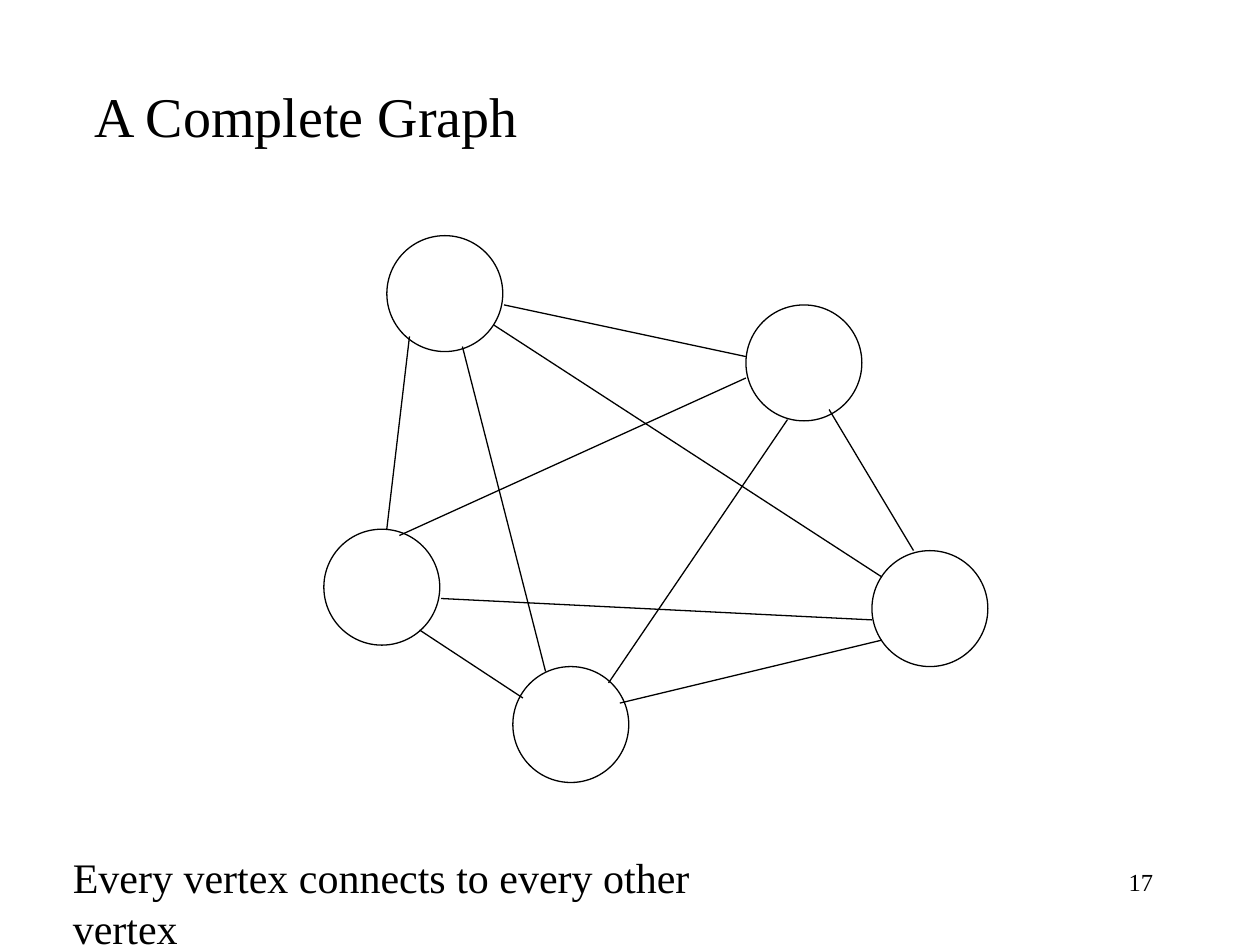
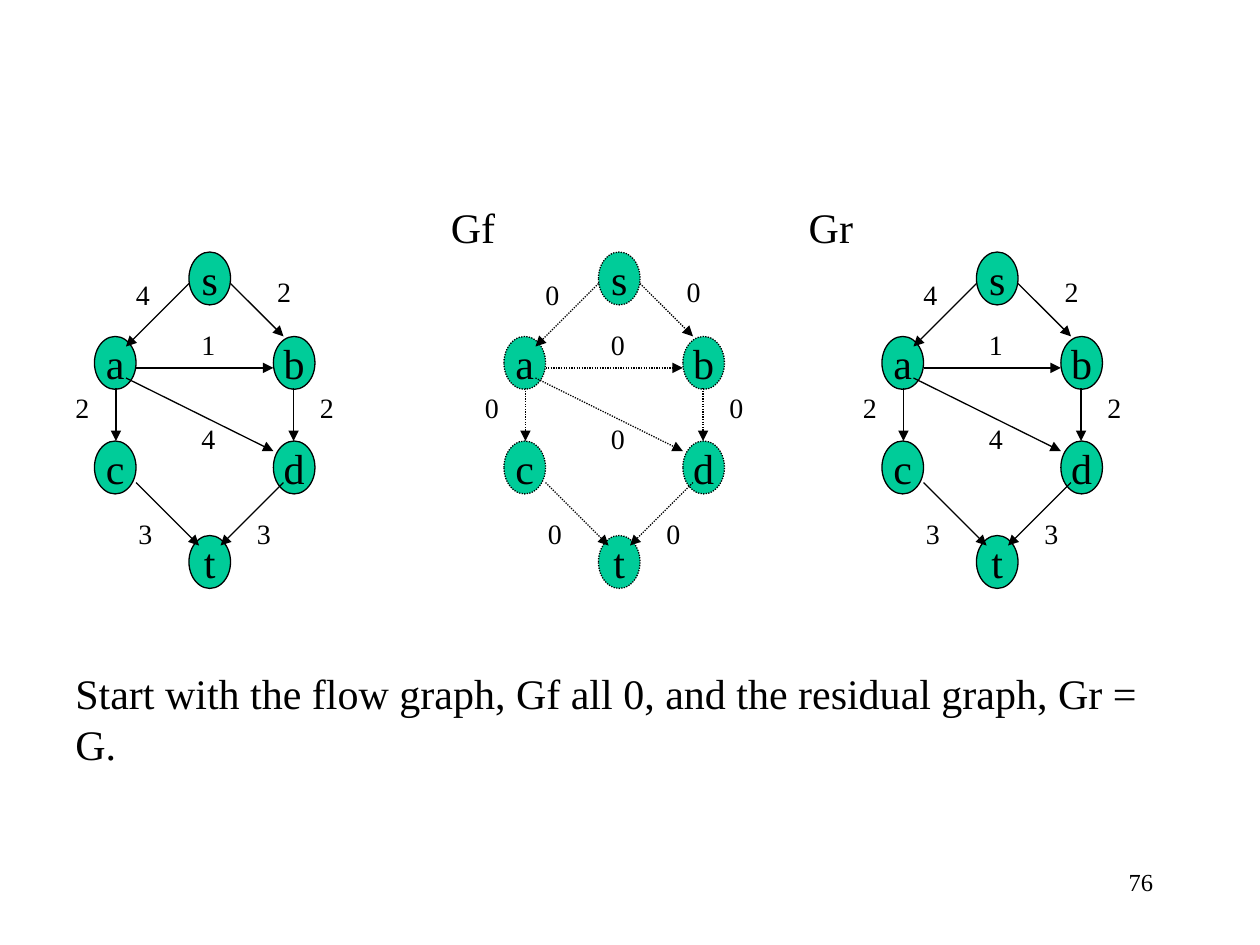
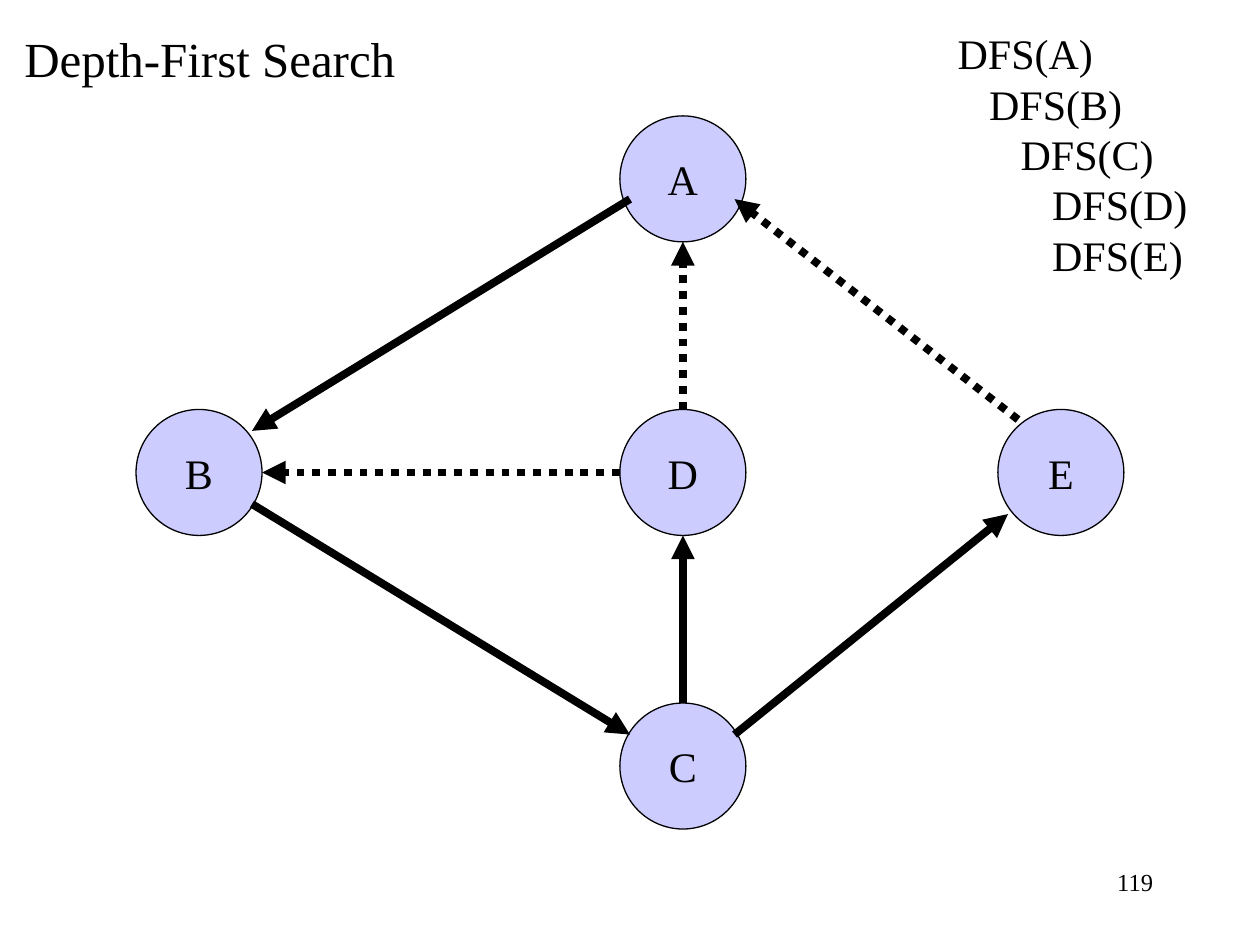
from dataclasses import dataclass

from lxml import etree
from pptx import Presentation
from pptx.dml import color
from pptx.enum import dml, shapes, text
from pptx.oxml import ns
from pptx.util import Inches, Pt


@dataclass(frozen=True)
class Theme:
    font: str = "Times New Roman"
    ink: color.RGBColor = color.RGBColor(0, 0, 0)
    paper: color.RGBColor = color.RGBColor(255, 255, 255)
    flow_node: color.RGBColor = color.RGBColor(0, 204, 153)
    search_node: color.RGBColor = color.RGBColor(204, 204, 255)
    title: int = 32
    small_title: int = 28
    body: int = 24
    weight: int = 16
    number: int = 14
    thin: float = 0.75
    thick: float = 4.5


THEME = Theme()
LEFT, CENTER, RIGHT = text.PP_ALIGN.LEFT, text.PP_ALIGN.CENTER, text.PP_ALIGN.RIGHT
DOTTED = dml.MSO_LINE.ROUND_DOT
TITLE_AND_CONTENT, TITLE_ONLY, BLANK = 1, 5, 6

COMPLETE_NODES = [(4.07, 5.29), (5.92, 2.42), (3.07, 1.87), (6.92, 4.37), (2.57, 4.2)]
COMPLETE_EDGES = [
    ((3.25, 2.67), (3.07, 4.2)),
    ((4.15, 5.54), (3.33, 5)),
    ((7.25, 4.37), (6.58, 3.25)),
    ((3.67, 2.75), (4.33, 5.33)),
    ((4.92, 5.58), (7, 5.08)),
    ((3.92, 2.58), (7, 4.58)),
    ((4, 2.42), (5.92, 2.83)),
    ((3.17, 4.25), (5.92, 3)),
    ((4.83, 5.42), (6.25, 3.33)),
    ((3.5, 4.75), (6.92, 4.92)),
]

FLOW_NODES = {
    "s": (0.75, 2), "a": (0, 2.67), "b": (1.42, 2.67),
    "t": (0.75, 4.25), "c": (0, 3.5), "d": (1.42, 3.5),
}
FLOW_EDGES = [
    ((0.17, 3.08), (0.17, 3.5)),
    ((0.33, 3.83), (0.83, 4.33)),
    ((1.5, 3.83), (1, 4.33)),
    ((0.75, 2.25), (0.25, 2.75)),
    ((1.08, 2.25), (1.5, 2.67)),
    ((1.58, 3.08), (1.58, 3.5)),
    ((0.33, 2.92), (1.42, 2.92)),
    ((0.25, 3), (1.42, 3.58)),
]
WEIGHT_SPOTS = [
    (0.23, 2.15), (-0.25, 3.05), (1.19, 4.05), (1.35, 2.13),
    (1.69, 3.05), (0.25, 4.05), (0.75, 2.55), (0.75, 3.3),
]
CAPACITIES = "42322314"
NO_FLOW = "0" * len(WEIGHT_SPOTS)

SEARCH_NODES = {
    "B": (1.08, 3.25), "D": (4.92, 3.25), "C": (4.92, 5.58),
    "E": (7.92, 3.25), "A": (4.92, 0.92),
}
SEARCH_EDGES = [
    ((2, 4), (5, 5.83), None),
    ((5.42, 3.25), (5.42, 1.92), DOTTED),
    ((5.42, 5.58), (5.42, 4.25), None),
    ((4.92, 3.75), (2.08, 3.75), DOTTED),
    ((5, 1.58), (2, 3.42), None),
    ((8.08, 3.33), (5.83, 1.58), DOTTED),
    ((5.83, 5.83), (8, 4.08), None),
]
SEARCH_CALLS = [("DFS(A)", 0), ("DFS(B)", 1), ("DFS(C)", 2), ("DFS(D)", 3), ("DFS(E)", 3)]


def apply(obj, **values):
    for name, value in values.items():
        setattr(obj, name, value)


def place(sp, left, top, width, height):
    apply(sp, left=Inches(left), top=Inches(top), width=Inches(width), height=Inches(height))


def write(p, words, size, align=LEFT):
    p.alignment = align
    r = p.add_run()
    r.text = words
    apply(r.font, name=THEME.font, size=Pt(size))
    r.font.color.rgb = THEME.ink


def style_line(line, width, dash=None):
    line.color.rgb = THEME.ink
    apply(line, width=Pt(width), dash_style=dash)


def add_title(s, words, box, size, align=LEFT):
    sp = s.shapes.title
    place(sp, *box)
    apply(sp.text_frame, word_wrap=True, auto_size=text.MSO_AUTO_SIZE.NONE,
          vertical_anchor=text.MSO_ANCHOR.MIDDLE)
    write(sp.text_frame.paragraphs[0], words, size, align)


def add_text(s, words, box, size, align=LEFT, wrap=True):
    sp = s.shapes.add_textbox(*map(Inches, box))
    sp.text_frame.word_wrap = wrap
    write(sp.text_frame.paragraphs[0], words, size, align)


def add_calls(s, calls, box):
    sp = s.placeholders[1]
    place(sp, *box)
    tf = sp.text_frame
    apply(tf, word_wrap=True, auto_size=text.MSO_AUTO_SIZE.NONE)
    for i, (words, depth) in enumerate(calls):
        p = tf.add_paragraph() if i else tf.paragraphs[0]
        pPr = p._p.get_or_add_pPr()
        apply_indent = {"marL": Inches(0.25 * depth), "indent": 0}
        for name, value in apply_indent.items():
            pPr.set(name, str(int(value)))
        etree.SubElement(pPr, ns.qn("a:buNone"))
        p.space_before = Pt(0)
        write(p, words, THEME.body)


def add_node(s, box, fill, label="", dash=None):
    sp = s.shapes.add_shape(shapes.MSO_SHAPE.OVAL, *map(Inches, box))
    sp.shadow.inherit = False
    sp.fill.solid()
    sp.fill.fore_color.rgb = fill
    style_line(sp.line, THEME.thin, dash)
    if label:
        apply(sp.text_frame, word_wrap=False, vertical_anchor=text.MSO_ANCHOR.MIDDLE)
        write(sp.text_frame.paragraphs[0], label, THEME.body, CENTER)


def add_edge(s, start, end, width=THEME.thin, dash=None, arrow=True):
    sp = s.shapes.add_connector(shapes.MSO_CONNECTOR.STRAIGHT, *map(Inches, (*start, *end)))
    style_line(sp.line, width, dash)
    spPr = sp._element.spPr
    if arrow:
        etree.SubElement(spPr.find(ns.qn("a:ln")), ns.qn("a:tailEnd"), type="triangle")
    etree.SubElement(spPr, ns.qn("a:effectLst"))


def add_flow_graph(s, left, weights, dash=None):
    for label, (x, y) in FLOW_NODES.items():
        add_node(s, (left + x, y, 0.33, 0.42), THEME.flow_node, label, dash)
    for (x1, y1), (x2, y2) in FLOW_EDGES:
        add_edge(s, (left + x1, y1), (left + x2, y2), dash=dash)
    for weight, (x, y) in zip(weights, WEIGHT_SPOTS):
        add_text(s, weight, (left + x, y, 0.31, 0.37), THEME.weight, wrap=False)


def add_slide(prs, layout, number):
    s = prs.slides.add_slide(prs.slide_layouts[layout])
    add_text(s, str(number), (7.17, 6.83, 2.08, 0.5), THEME.number, RIGHT)
    return s


def complete_graph_slide(prs):
    s = add_slide(prs, TITLE_ONLY, 17)
    for x, y in COMPLETE_NODES:
        add_node(s, (x, y, 0.92, 0.92), THEME.paper)
    for start, end in COMPLETE_EDGES:
        add_edge(s, start, end, arrow=False)
    add_title(s, "A Complete Graph", (0.65, 0.6, 4, 0.63), THEME.title)
    add_text(s, "Every vertex connects to every other vertex", (0.48, 6.71, 5.9, 0.5), THEME.body)


def flow_slide(prs):
    s = add_slide(prs, BLANK, 76)
    add_flow_graph(s, 0.75, CAPACITIES)
    add_flow_graph(s, 4, NO_FLOW, DOTTED)
    add_flow_graph(s, 7, CAPACITIES)
    for name, left in (("Gf", 3.48), ("Gr", 6.32)):
        add_text(s, name, (left, 1.55, 0.55, 0.5), THEME.body, wrap=False)
    add_text(s, "Start with the flow graph, Gf all 0, and the residual graph, Gr = G.",
             (0.5, 5.25, 8.9, 0.5), THEME.body)


def search_slide(prs):
    s = add_slide(prs, TITLE_AND_CONTENT, 119)
    add_title(s, "Depth-First Search", (0, 0.17, 3.33, 0.58), THEME.small_title, CENTER)
    add_calls(s, SEARCH_CALLS, (7.5, 0.17, 2.2, 2.1))
    for label, (x, y) in SEARCH_NODES.items():
        add_node(s, (x, y, 1, 1), THEME.search_node, label)
    for start, end, dash in SEARCH_EDGES:
        add_edge(s, start, end, THEME.thick, dash)


def main():
    prs = Presentation()
    apply(prs, slide_width=Inches(10), slide_height=Inches(7.5))
    complete_graph_slide(prs)
    flow_slide(prs)
    search_slide(prs)
    prs.save("out.pptx")


if __name__ == "__main__":
    main()
